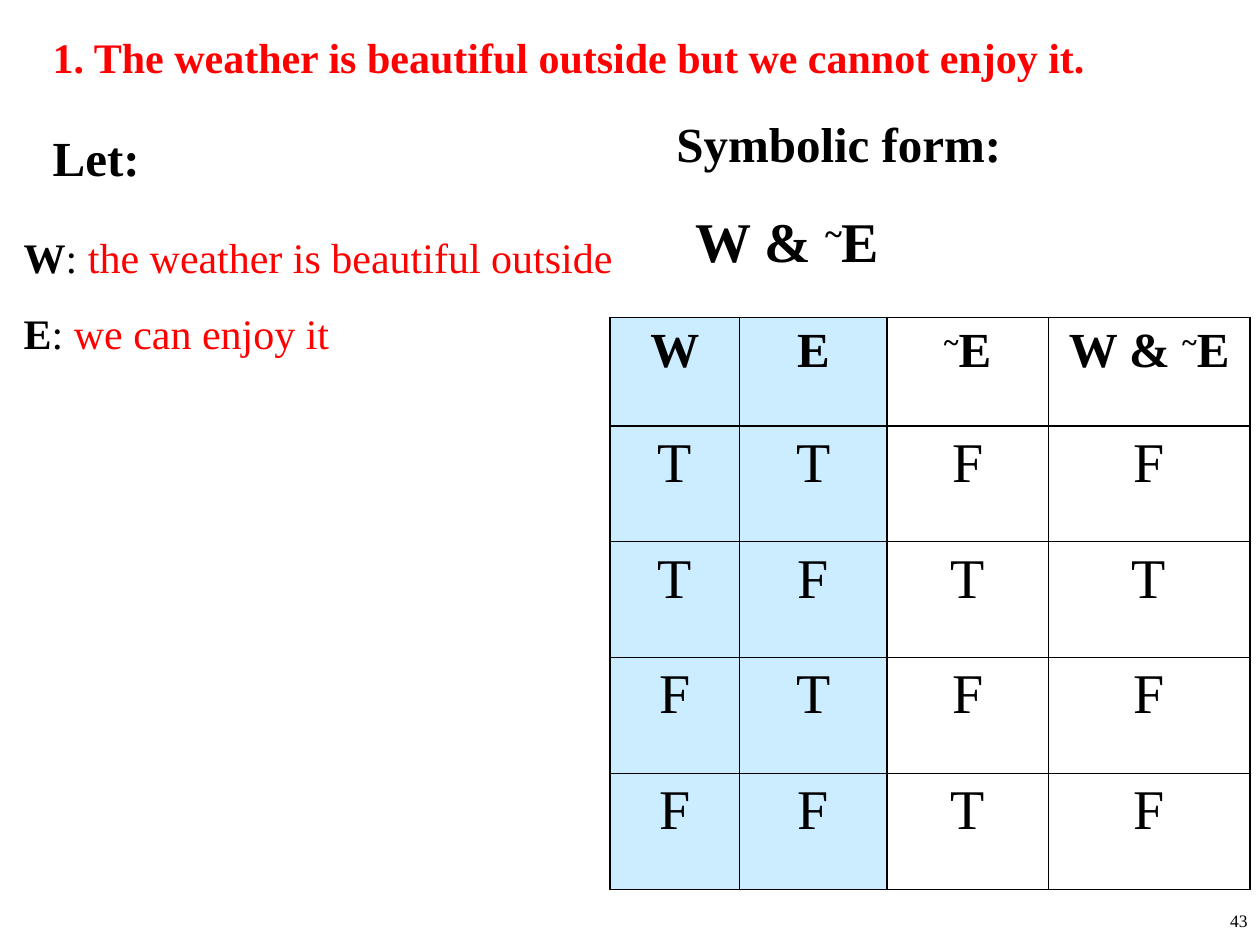
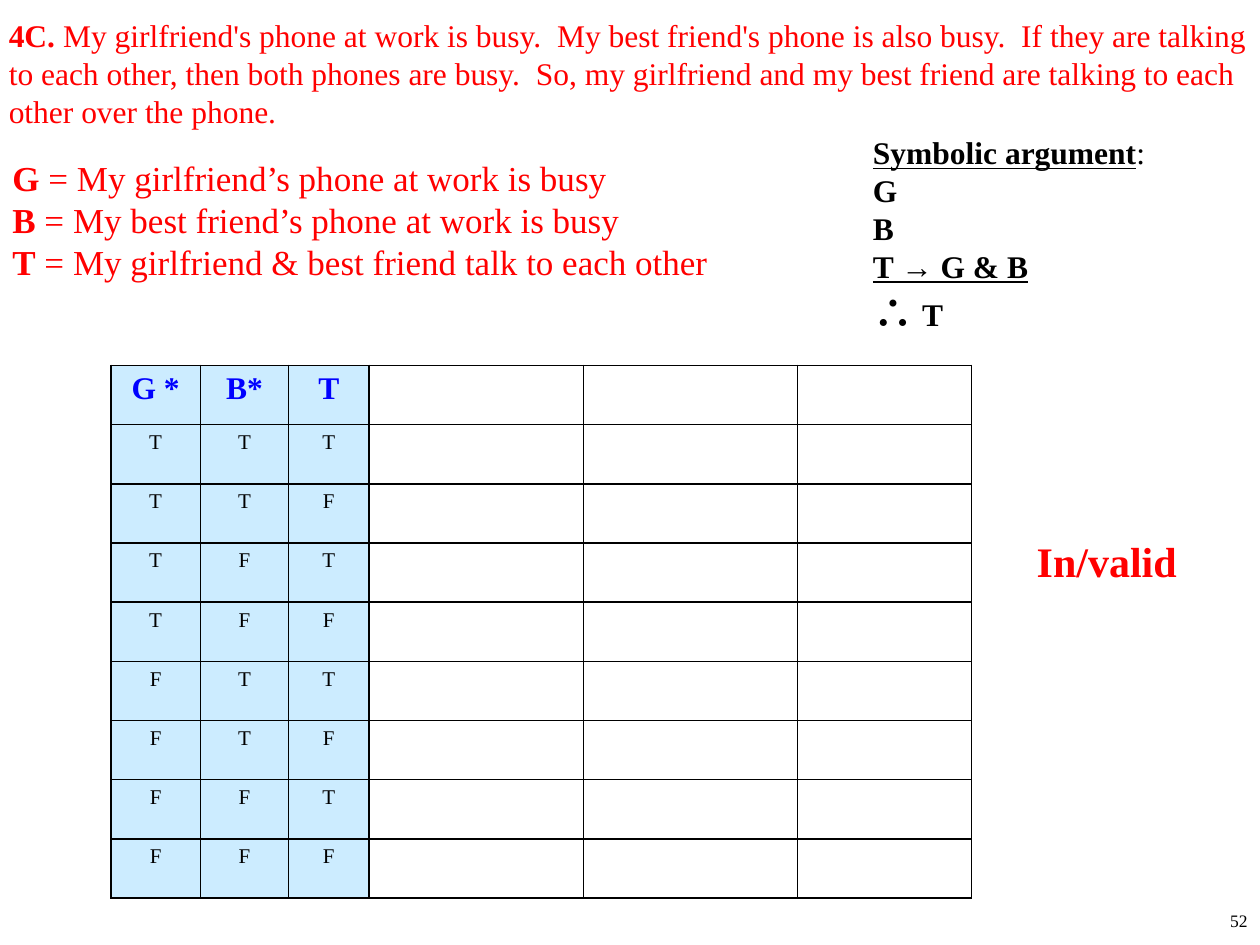
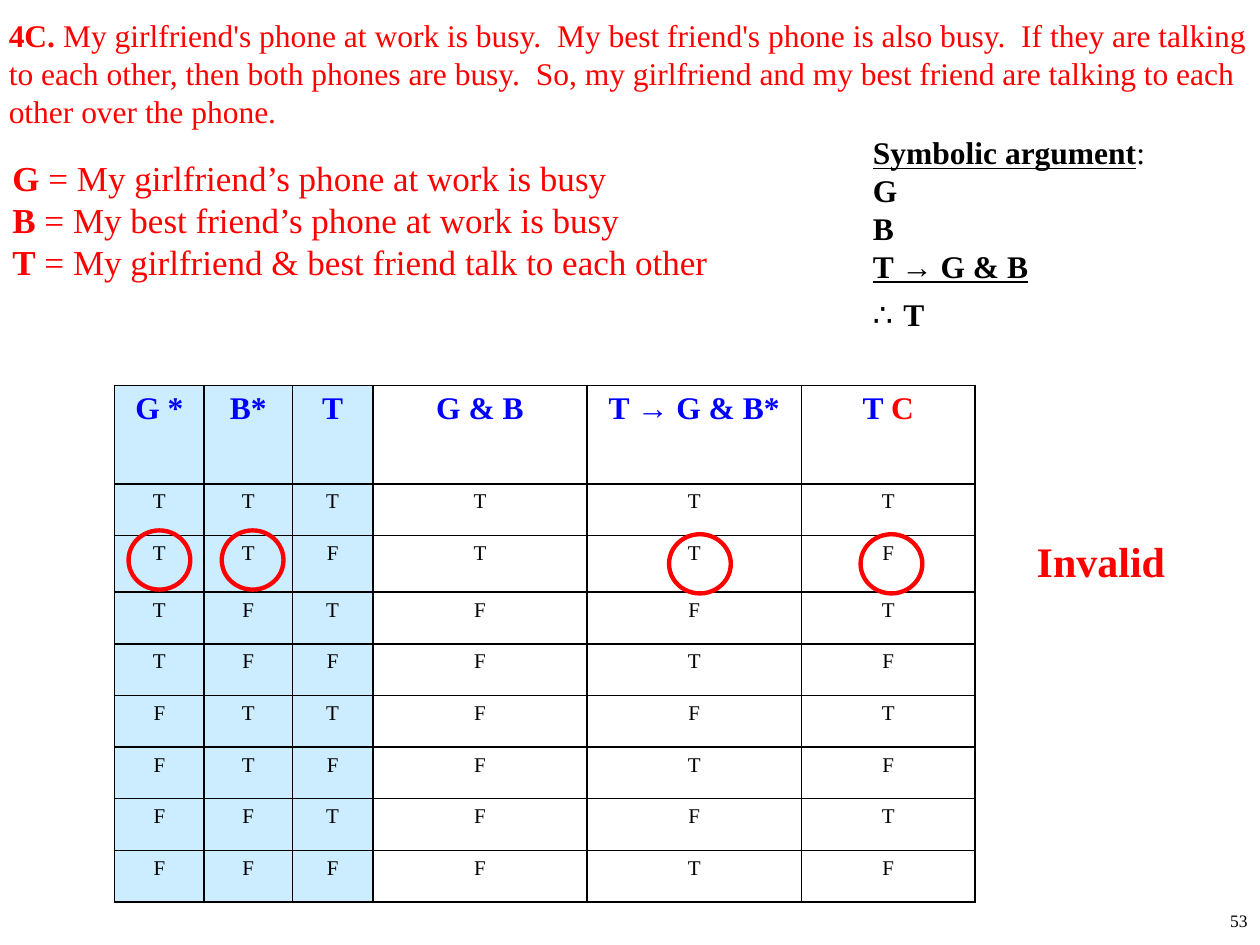
from itertools import product

from lxml.etree import SubElement as Sub
from pptx import Presentation
from pptx.dml.color import RGBColor as Rgb
from pptx.enum.shapes import MSO_SHAPE as Shape
from pptx.enum.text import PP_ALIGN as Align
from pptx.oxml.ns import qn
from pptx.util import Inches, Pt

HUES = {"ink": "000000", "red": "FF0000", "blue": "0000FF", "sky": "CCECFF"}
FACE = "Times New Roman"
COLS = [0.71, 0.7, 0.64, 1.7, 1.7, 1.38]
NOT_E = [("~", {"up": True}), "E"]


def hue(name):
    """Return the colour with this name."""
    return Rgb.from_string(HUES[name])


def style(font, size=None, color=None, bold=None, line=None, face=None):
    """Set the font traits that are given."""
    if size:
        font.size = Pt(size)
    if color:
        font.color.rgb = hue(color)
    if bold is not None:
        font.bold = bold
    if line:
        font.underline = True
    if face:
        font.name = face


def write(para, parts, size, color="ink", bold=False, align=Align.LEFT):
    """Fill a paragraph with strings or (string, traits) pairs."""
    para.alignment = align
    style(para.font, size, color, bold, face=FACE)
    for part in [parts] if isinstance(parts, str) else parts:
        text, traits = (part, {}) if isinstance(part, str) else part
        traits = dict(traits)
        raised = traits.pop("up", False)
        run = para.add_run()
        run.text = text
        style(run.font, **traits)
        if raised:
            run._r.get_or_add_rPr().set("baseline", "30000")


def note(slide, box, lines, size, space=None, pad=0.1, **traits):
    """Add a text box with one paragraph per line."""
    frame = slide.shapes.add_textbox(*map(Inches, box)).text_frame
    frame.word_wrap = True
    frame.margin_left = Inches(pad)
    frame.margin_right = Inches(min(pad, 0.1))
    for i, parts in enumerate(lines):
        para = frame.add_paragraph() if i else frame.paragraphs[0]
        if space:
            para.line_spacing = space
        write(para, parts, size, **traits)


def edge(cell):
    """Draw thin lines on all sides of a cell."""
    props = cell._tc.get_or_add_tcPr()
    for i, side in enumerate(("lnL", "lnR", "lnT", "lnB")):
        line = props.makeelement(qn(f"a:{side}"), {"w": str(Pt(1))})
        fill = Sub(line, qn("a:solidFill"))
        Sub(fill, qn("a:srgbClr"), val=HUES["ink"])
        props.insert(i, line)


def grid(slide, spot, cols, rows, cells, keys, head, body):
    """Add a truth table whose first columns, the keys, are tinted."""
    box = (*spot, sum(cols), sum(rows))
    table = slide.shapes.add_table(len(rows), len(cols), *map(Inches, box)).table
    table.first_row = table.horz_banding = False
    for col, width in zip(table.columns, cols):
        col.width = Inches(width)
    for r, (row, height) in enumerate(zip(table.rows, rows)):
        row.height = Inches(height)
        for c, cell in enumerate(row.cells):
            if c < keys:
                cell.fill.solid()
                cell.fill.fore_color.rgb = hue("sky")
            else:
                cell.fill.background()
            edge(cell)
            para = cell.text_frame.paragraphs[0]
            write(para, cells[r][c], align=Align.CENTER, **(body if r else head))


def truth(count, *rules):
    """List every case of the letters, followed by the value of each rule."""
    cases = product((True, False), repeat=count)
    rows = [[*case, *(rule(*case) for rule in rules)] for case in cases]
    return [["T" if value else "F" for value in row] for row in rows]


def folio(slide, number):
    """Put the page number in the bottom right corner."""
    note(slide, (7.92, 7.17, 2.08, 0.33), [str(number)], 10, align=Align.RIGHT)


def weather(slide):
    """Build the slide on the weather sentence."""
    title = "1. The weather is beautiful outside but we cannot enjoy it."
    note(slide, (0.32, 0.2, 9.36, 0.47), [title], 24, color="red", bold=True)
    note(slide, (0.32, 0.96, 1.05, 0.54), ["Let:"], 28, bold=True)
    note(slide, (5.27, 0.85, 3.57, 0.57), ["Symbolic form:"], 28, bold=True)
    terms = {"W": "the weather is beautiful outside", "E": "we can enjoy it"}
    lines = [[(key, {"bold": True}), ": ", (text, {"color": "red"})]
             for key, text in terms.items()]
    note(slide, (0.09, 1.59, 5, 1.24), lines, 24, space=1.5)
    form = ["W & ", *NOT_E]
    note(slide, (5.42, 1.59, 2.96, 0.64), [form], 32, bold=True)
    cells = [["W", "E", NOT_E, form]]
    cells += truth(2, lambda w, e: not e, lambda w, e: w and not e)
    grid(slide, (4.84, 2.52), [1.03, 1.17, 1.28, 1.6], [0.86] + [0.92] * 4,
         cells, 2, {"size": 28, "bold": True}, {"size": 32})


def phone(slide, spot, rows, cells, so, verdict):
    """Build a slide on the phone argument."""
    grid(slide, spot, COLS, rows, cells, 3,
         {"size": 18, "color": "blue", "bold": True}, {"size": 12})
    story = [("4C. ", {"bold": True}),
             "My girlfriend's phone at work is busy.  My best friend's phone is "
             "also busy.  If they are talking to each other, then both phones are "
             "busy.  So, my girlfriend and my best friend are talking to each "
             "other over the phone."]
    note(slide, (0, 0.08, 10, 0.82), [story], 18, pad=0.07, color="red")
    lines = [[("Symbolic argument", {"line": True}), (":", {"bold": False})],
             "G", "B", [("T → G & B", {"line": True})], so]
    note(slide, (6.83, 1.01, 3.08, 1.72), lines, 18, bold=True)
    terms = {"G": "My girlfriend’s phone at work is busy",
             "B": "My best friend’s phone at work is busy",
             "T": "My girlfriend & best friend talk to each other"}
    lines = [[(key, {"bold": True}), f" = {text}"] for key, text in terms.items()]
    note(slide, (0, 1.19, 6.84, 1.51), lines, 20, color="red")
    note(slide, (8.13, 4.2, 1.57, 0.5), [verdict], 24, color="red", bold=True)


def rings(slide, spot):
    """Circle the values of the row that refutes the argument."""
    left, top = spot
    for x, y in ((0.11, 1.15), (0.85, 1.15), (4.4, 1.18), (5.92, 1.18)):
        box = (left + x, top + y, 0.49, 0.47)
        ring = slide.shapes.add_shape(Shape.OVAL, *map(Inches, box))
        ring.shadow.inherit = False
        ring.fill.background()
        ring.line.color.rgb = hue("red")
        ring.line.width = Pt(2.5)


def main():
    """Build the deck and save it."""
    deck = Presentation()
    deck.slide_width, deck.slide_height = Inches(10), Inches(7.5)
    first, task, answer = (deck.slides.add_slide(deck.slide_layouts[6])
                           for _ in range(3))
    weather(first)

    keys = ["G *", "B*", "T"]
    blank = [""] * 3
    phone(task, (0.88, 2.9), [0.47] * 9,
          [row + blank for row in [keys, *truth(3)]],
          [("∴", {"size": 24}), " T"], "In/valid")

    spot = (0.91, 3.06)
    heads = keys + ["G & B", "T → G & B*", ["T ", ("C", {"color": "red"})]]
    values = truth(3, lambda g, b, t: g and b,
                   lambda g, b, t: not t or (g and b), lambda g, b, t: t)
    phone(answer, spot, [0.78, 0.41, 0.45] + [0.41] * 6, [heads, *values],
          [("∴", {"face": "Roboto", "bold": False}), (" ", {"size": 24}), "T"],
          "Invalid")
    rings(answer, spot)

    for slide, number in ((first, 43), (task, 52), (answer, 53)):
        folio(slide, number)
    deck.save("out.pptx")


if __name__ == "__main__":
    main()
